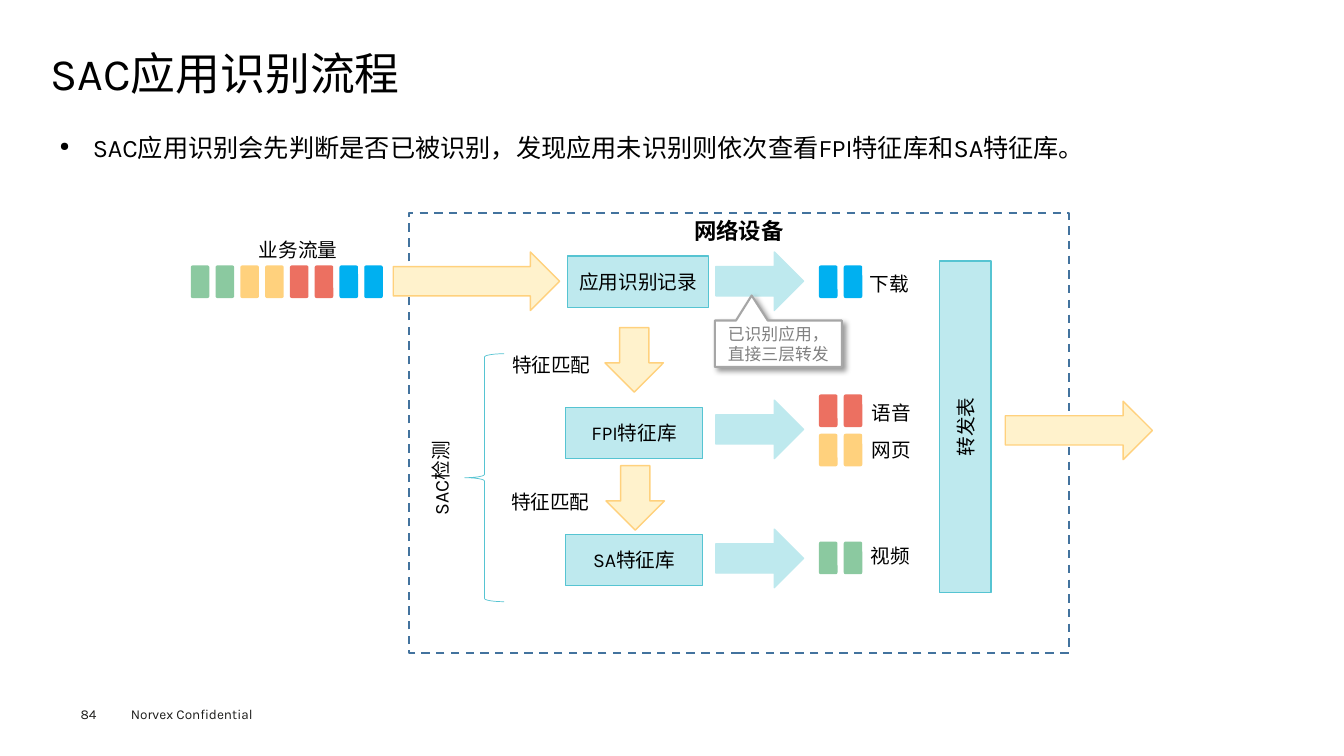
"""Build the slide on the SAC application identification flow."""
from dataclasses import dataclass

from lxml.etree import SubElement
from pptx import Presentation
from pptx.dml.color import RGBColor
from pptx.enum.dml import MSO_LINE
from pptx.enum.shapes import MSO_SHAPE
from pptx.enum.text import MSO_ANCHOR, MSO_AUTO_SIZE, PP_ALIGN
from pptx.oxml.ns import qn
from pptx.util import Inches, Pt


@dataclass(frozen=True)
class Theme:
    font: str = "Karla"
    text: str = "000000"
    footer: str = "1D1D1B"
    note: str = "808080"
    note_line: str = "A6A6A6"
    white: str = "FFFFFF"
    frame: str = "43739E"
    box: str = "BEE9EE"
    box_line: str = "56C4D2"
    arrow: str = "FFF2CC"
    blue: str = "00B0F0"
    red: str = "EC7061"
    yellow: str = "FFD17D"
    green: str = "8BC9A0"
    title_pt: float = 32
    body_pt: float = 18
    frame_pt: float = 16
    label_pt: float = 14
    note_pt: float = 12
    footer_pt: float = 9.7


T = Theme()

TITLE = "SAC应用识别流程"
BODY = "SAC应用识别会先判断是否已被识别，发现应用未识别则依次查看FPI特征库和SA特征库。"
FRAME = ("网络设备", (4.06, 2.11, 6.54, 4.37))
NOTE = ("已识别应用，直接三层转发", (7.09, 3.18, 1.26, 0.46))
BRACE = (4.61, 3.51, 0.39, 2.46)
FLOW = [T.green, T.yellow, T.red, T.blue]
STAGES = [
    ("应用识别记录", (5.63, 2.54, 1.4, 0.51), 0),
    ("FPI特征库", (5.61, 4.04, 1.36, 0.51), 0),
    ("SA特征库", (5.61, 5.3, 1.36, 0.51), 0),
    ("转发表", (7.93, 3.98, 3.29, 0.51), 270),
]
FLOW_ARROWS = [
    ((3.9, 2.5, 1.65, 0.58), 0),
    ((5.97, 3.28, 0.64, 0.58), 90),
    ((5.98, 4.65, 0.64, 0.58), 90),
    ((9.97, 3.98, 1.46, 0.58), 0),
]
RESULT_ARROW_TOPS = [2.5, 3.97, 5.25]
RESULT_BARS = [(T.blue, 2.64), (T.red, 3.92), (T.yellow, 4.31), (T.green, 5.38)]
LABELS = [
    ("业务流量", (2.47, 2.31, 0.99, 0.34)),
    ("特征匹配", (4.98, 3.45, 0.99, 0.34)),
    ("特征匹配", (4.97, 4.81, 0.99, 0.34)),
    ("下载", (8.53, 2.65, 0.59, 0.34)),
    ("语音", (8.55, 3.93, 0.59, 0.34)),
    ("网页", (8.55, 4.3, 0.59, 0.34)),
    ("视频", (8.54, 5.35, 0.61, 0.34)),
]
SIDE_LABEL = ("SAC检测", (3.9, 4.57, 0.95, 0.34))
FOOTER = ("Norvex Confidential", (1.2, 6.95, 1.6, 0.27))
PAGE = ("84", (0.8, 7, 0.55, 0.16))

BAR_W, BAR_H = 0.17, 0.31
FLOW_X, FLOW_Y, RESULT_X = 1.9, 2.64, 8.13
BAR_STEP = (3.62 - FLOW_X) / 7


def rgb(color):
    return RGBColor.from_string(color)


def write(tf, text, size, color=T.text, align=PP_ALIGN.LEFT, bold=False):
    p = tf.paragraphs[0]
    p.alignment = align
    r = p.add_run()
    r.text = text
    r.font.name, r.font.size, r.font.bold = T.font, Pt(size), bold
    r.font.color.rgb = rgb(color)
    return p


def set_insets(tf, x, y):
    tf.margin_left = tf.margin_right = Inches(x)
    tf.margin_top = tf.margin_bottom = Inches(y)


def add_shape(s, kind, at, fill, line, width=1.0, rotation=0):
    sp = s.shapes.add_shape(kind, *map(Inches, at))
    sp.shadow.inherit = False
    sp.rotation = rotation
    if fill:
        sp.fill.solid()
        sp.fill.fore_color.rgb = rgb(fill)
    else:
        sp.fill.background()
    sp.line.color.rgb = rgb(line)
    sp.line.width = Pt(width)
    return sp


def fill_text(sp, text, size, color=T.text, anchor=MSO_ANCHOR.MIDDLE, bold=False):
    tf = sp.text_frame
    tf.word_wrap = True
    tf.vertical_anchor = anchor
    write(tf, text, size, color, PP_ALIGN.CENTER, bold)


def add_label(s, text, at, size=T.label_pt, color=T.text, wrap=False):
    sp = s.shapes.add_textbox(*map(Inches, at))
    tf = sp.text_frame
    tf.word_wrap = wrap
    tf.auto_size = MSO_AUTO_SIZE.SHAPE_TO_FIT_TEXT
    write(tf, text, size, color)
    return sp


def add_bars(s, colors, left, top):
    for i, color in enumerate(colors):
        at = (left + i * BAR_STEP, top, BAR_W, BAR_H)
        sp = add_shape(s, MSO_SHAPE.ROUNDED_RECTANGLE, at, color, color)
        sp.adjustments[0] = 0.07


def add_heading(s):
    sp = s.shapes.title
    sp.left, sp.top, sp.width, sp.height = map(Inches, (0.5, 0.49, 12.35, 0.53))
    tf = sp.text_frame
    tf.auto_size = MSO_AUTO_SIZE.NONE
    tf.vertical_anchor = MSO_ANCHOR.MIDDLE
    set_insets(tf, 0, 0)
    write(tf, TITLE, T.title_pt).line_spacing = 0.9

    tf = s.shapes.add_textbox(*map(Inches, (0.5, 1.15, 12.35, 0.6))).text_frame
    tf.word_wrap = True
    set_insets(tf, 0.09, 0.04)
    p = write(tf, BODY, T.body_pt, align=PP_ALIGN.JUSTIFY)
    p.line_spacing = 1.4
    pPr = p._p.get_or_add_pPr()
    pPr.set("marL", str(Inches(0.33)))
    pPr.set("indent", str(Inches(-0.33)))
    SubElement(pPr, qn("a:buSzPct"), val="50000")
    SubElement(pPr, qn("a:buChar"), char="●")


def add_note(s):
    text, at = NOTE
    sp = add_shape(s, MSO_SHAPE.RECTANGULAR_CALLOUT, at, T.white, T.note_line, 1.5)
    sp.adjustments[0], sp.adjustments[1] = -0.21, -1.04
    effects = sp._element.spPr.find(qn("a:effectLst"))
    shadow = SubElement(effects, qn("a:outerShdw"), blurRad=str(Pt(4)), dist=str(Pt(3)),
                        dir="2700000", algn="tl", rotWithShape="0")
    color = SubElement(shadow, qn("a:srgbClr"), val=T.text)
    SubElement(color, qn("a:alpha"), val="40000")
    fill_text(sp, text, T.note_pt, T.note)


def add_diagram(s):
    text, at = FRAME
    frame = add_shape(s, MSO_SHAPE.RECTANGLE, at, None, T.frame, 1.5)
    frame.line.dash_style = MSO_LINE.DASH
    fill_text(frame, text, T.frame_pt, anchor=MSO_ANCHOR.TOP, bold=True)
    add_bars(s, [c for c in FLOW for _ in range(2)], FLOW_X, FLOW_Y)
    for color, top in RESULT_BARS:
        add_bars(s, [color] * 2, RESULT_X, top)
    for at, rotation in FLOW_ARROWS:
        add_shape(s, MSO_SHAPE.RIGHT_ARROW, at, T.arrow, T.yellow, rotation=rotation)
    for top in RESULT_ARROW_TOPS:
        add_shape(s, MSO_SHAPE.RIGHT_ARROW, (7.1, top, 0.87, 0.58), T.box, T.box)
    for text, at, rotation in STAGES:
        sp = add_shape(s, MSO_SHAPE.RECTANGLE, at, T.box, T.box_line, rotation=rotation)
        fill_text(sp, text, T.label_pt)
    add_shape(s, MSO_SHAPE.LEFT_BRACE, BRACE, None, T.box_line, 0.5)
    add_note(s)
    for text, at in LABELS:
        add_label(s, text, at)
    add_label(s, *SIDE_LABEL, wrap=True).rotation = 270


def main():
    prs = Presentation()
    prs.slide_width, prs.slide_height = Inches(13.33), Inches(7.5)
    s = prs.slides.add_slide(prs.slide_layouts[5])
    add_heading(s)
    add_diagram(s)
    add_label(s, *FOOTER, T.footer_pt, T.footer, True)
    page = add_label(s, *PAGE, T.footer_pt, T.footer, True)
    set_insets(page.text_frame, 0, 0)
    prs.save("out.pptx")


if __name__ == "__main__":
    main()
